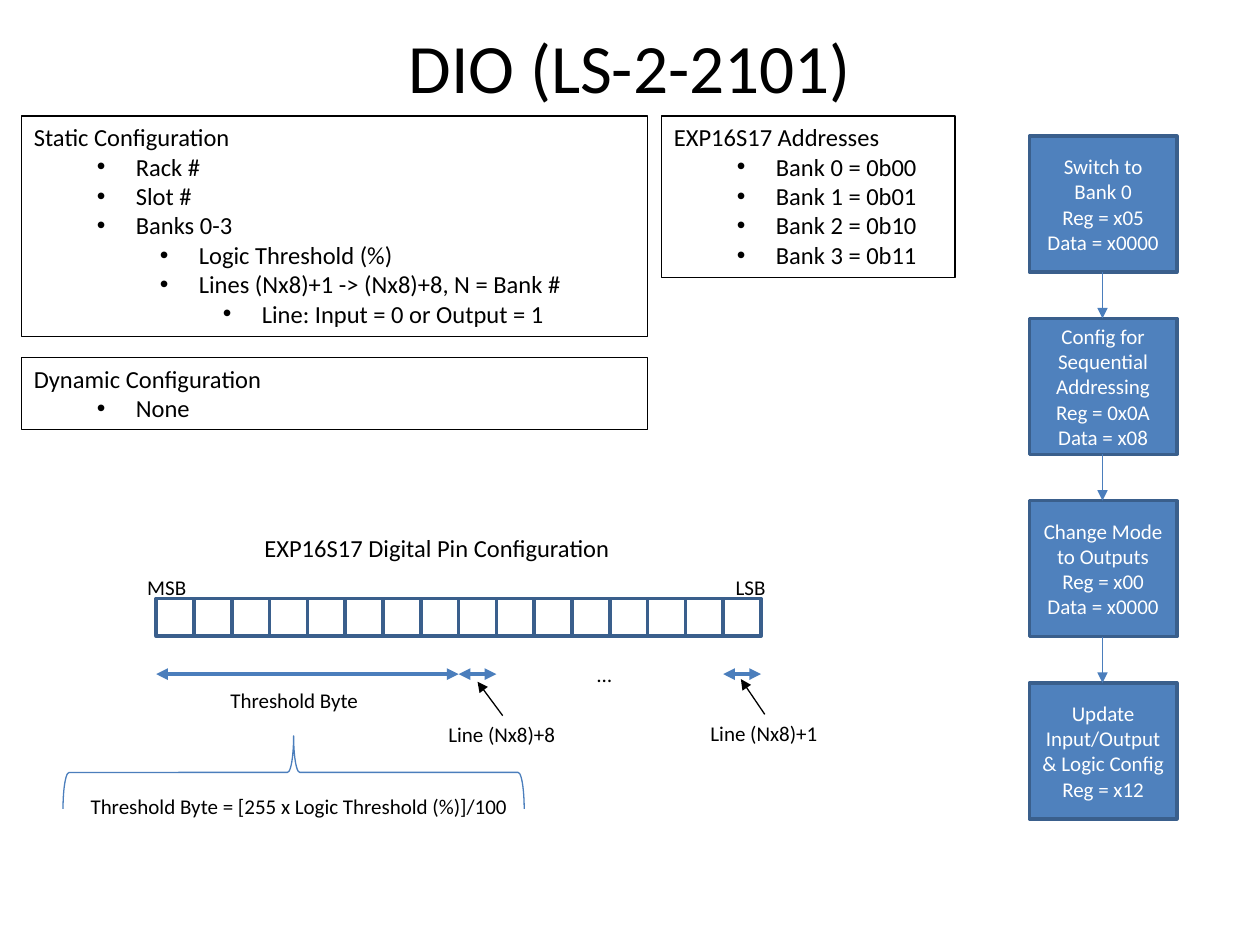
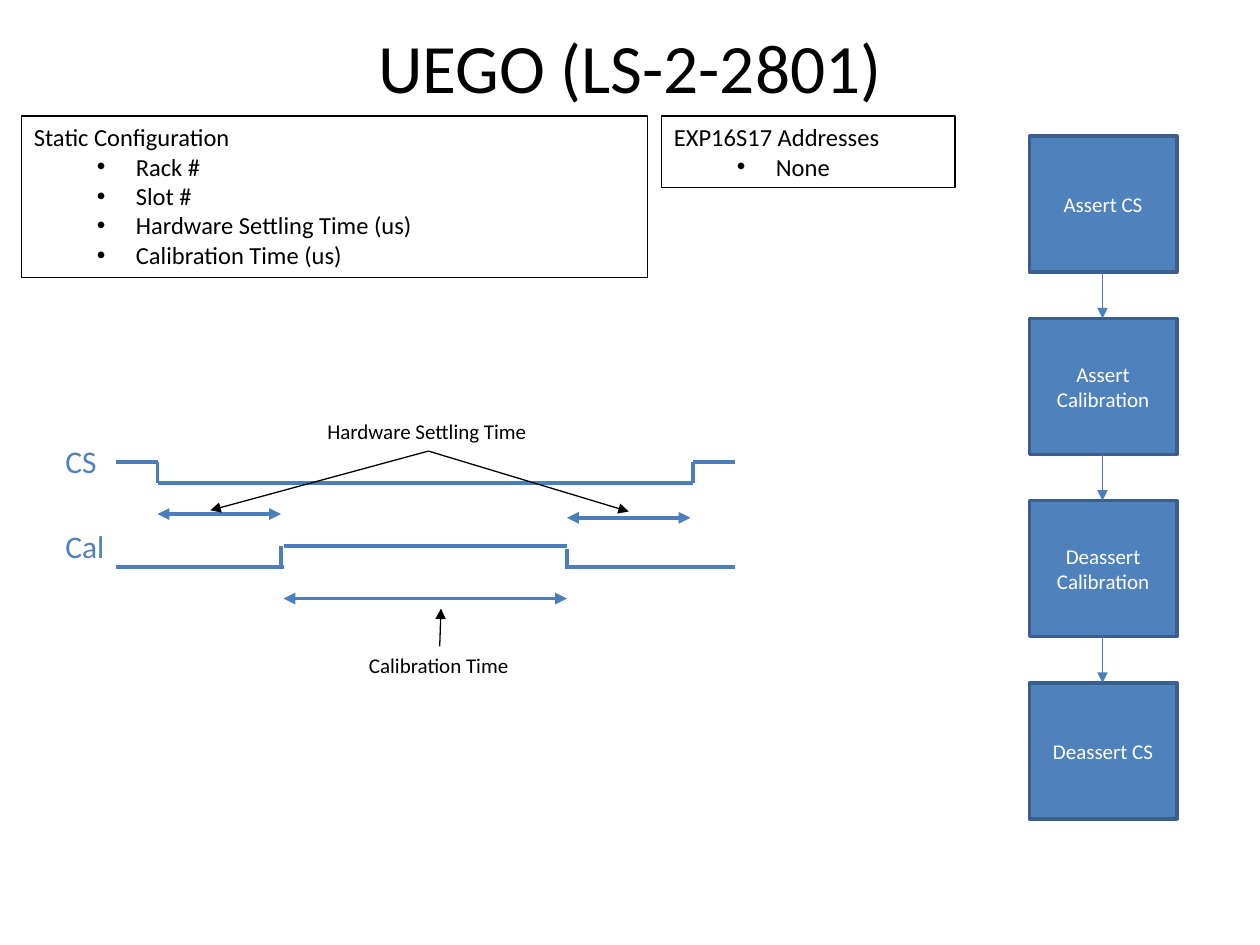
"""Build two slides on module configuration: DIO pin layout and UEGO timing."""
import pptx
import pptx.util
import pptx.dml.color
import pptx.enum.shapes
import pptx.enum.text
import pptx.oxml
import pptx.oxml.ns

Inches = pptx.util.Inches
Pt = pptx.util.Pt
RGBColor = pptx.dml.color.RGBColor
SHAPE = pptx.enum.shapes.MSO_SHAPE
ANCHOR = pptx.enum.text.MSO_ANCHOR
ALIGN = pptx.enum.text.PP_ALIGN
qn = pptx.oxml.ns.qn

BLACK = RGBColor(0x00, 0x00, 0x00)
WHITE = RGBColor(0xFF, 0xFF, 0xFF)
BLUE = RGBColor(0x4F, 0x81, 0xBD)
EDGE = RGBColor(0x3A, 0x5F, 0x8C)
STROKE = RGBColor(0x4B, 0x7E, 0xBC)
FONT = "Calibri"


def add_text(shapes, text, x, y, w, h, size=12, color=BLACK, fill=None, line=None,
             weight=0.75, center=False, wrap=True, shape=None):
    """Add a text box or preset shape; text is a string or (level, string) pairs."""
    box = Inches(x), Inches(y), Inches(w), Inches(h)
    if shape is None:
        sp = shapes.add_textbox(*box)
    else:
        sp = shapes.add_shape(shape, *box)
        sp.shadow.inherit = False
    if fill is None:
        sp.fill.background()
    else:
        sp.fill.solid()
        sp.fill.fore_color.rgb = fill
    if line is None:
        sp.line.fill.background()
    else:
        sp.line.color.rgb = line
        sp.line.width = Pt(weight)
    tf = sp.text_frame
    tf.word_wrap = wrap
    tf.vertical_anchor = ANCHOR.MIDDLE if center else ANCHOR.TOP
    rows = [(0, row) for row in text.split("\n")] if isinstance(text, str) else text
    for i, (level, row) in enumerate(rows):
        if not row:
            continue
        p = tf.paragraphs[0] if i == 0 else tf.add_paragraph()
        p.alignment = ALIGN.CENTER if center else ALIGN.LEFT
        if level:
            p.level = level
            pPr = p._p.get_or_add_pPr()
            pPr.set("marL", str(Inches(0.31 + 0.5 * level)))
            pPr.set("indent", str(Inches(-0.31)))
            pptx.oxml.ns.qn("a:buFont")
            pPr.makeelement
            for tag, key, value in (("a:buFont", "typeface", "Arial"), ("a:buChar", "char", "•")):
                bullet = pPr.makeelement(qn(tag), {key: value})
                pPr.append(bullet)
        r = p.add_run()
        r.text = row
        r.font.size = Pt(size)
        r.font.name = FONT
        r.font.color.rgb = color
    return sp


def add_line(shapes, x1, y1, x2, y2, color=STROKE, weight=2.25, ends=()):
    """Add a straight connector with triangles at the named ends."""
    cx = shapes.add_connector(pptx.enum.shapes.MSO_CONNECTOR.STRAIGHT,
                              Inches(x1), Inches(y1), Inches(x2), Inches(y2))
    cx.line.color.rgb = color
    cx.line.width = Pt(weight)
    ln = cx.line._get_or_add_ln()
    for end in ends:
        ln.append(ln.makeelement(qn("a:" + end), {"type": "triangle"}))
    spPr = cx._element.spPr
    spPr.append(spPr.makeelement(qn("a:effectLst"), {}))


BOTH = ("headEnd", "tailEnd")
TAIL = ("tailEnd",)

DIO_PANELS = [
    (0.17, 0.92, 4.97, 1.75, [
        (0, "Static Configuration"), (1, "Rack #"), (1, "Slot #"), (1, "Banks 0-3"),
        (2, "Logic Threshold (%)"), (2, "Lines (Nx8)+1 -> (Nx8)+8, N = Bank #"),
        (3, "Line: Input = 0 or Output = 1")]),
    (0.17, 2.84, 4.97, 0.57, [(0, "Dynamic Configuration"), (1, "None")]),
    (5.25, 0.92, 2.33, 1.28, [
        (0, "EXP16S17 Addresses"), (1, "Bank 0 = 0b00"), (1, "Bank 1 = 0b01"),
        (1, "Bank 2 = 0b10"), (1, "Bank 3 = 0b11")]),
]
UEGO_PANELS = [
    (0.17, 0.92, 4.97, 1.28, [
        (0, "Static Configuration"), (1, "Rack #"), (1, "Slot #"),
        (1, "Hardware Settling Time (us)"), (1, "Calibration Time (us)")]),
    (5.25, 0.92, 2.33, 0.57, [(0, "EXP16S17 Addresses"), (1, "None")]),
]
DIO_STEPS = [
    "Switch to Bank 0\nReg = x05\nData = x0000",
    "Config for Sequential Addressing\nReg = 0x0A\nData = x08",
    "Change Mode to Outputs\nReg = x00\nData = x0000",
    "Update Input/Output & Logic Config Reg = x12",
]
UEGO_STEPS = ["Assert CS", "Assert Calibration", "Deassert Calibration", "Deassert CS"]

STEP_X, STEP_Y, STEP_W, STEP_H = 8.17, 1.08, 1.17, 1.08
STEP_PITCH = (5.42 - STEP_Y) / 3

prs = pptx.Presentation()
prs.slide_width = Inches(10)
prs.slide_height = Inches(7.5)

slides = []
for title, panels, steps in (("DIO (LS-2-2101)", DIO_PANELS, DIO_STEPS),
                             ("UEGO (LS-2-2801)", UEGO_PANELS, UEGO_STEPS)):
    s = prs.slides.add_slide(prs.slide_layouts[6])
    slides.append(s)
    add_text(s.shapes, title, 0.5, 0.3, 9, 0.45, size=39.6, center=True)
    for x, y, w, h, rows in panels:
        add_text(s.shapes, rows, x, y, w, h, size=14, line=BLACK, shape=SHAPE.RECTANGLE)
    for i, step in enumerate(steps):
        y = STEP_Y + i * STEP_PITCH
        sp = add_text(s.shapes, step, STEP_X, y, STEP_W, STEP_H, color=WHITE, fill=BLUE,
                      line=EDGE, weight=2, center=True, shape=SHAPE.RECTANGLE)
        sp.text_frame.margin_left = sp.text_frame.margin_right = Inches(0.09)
        if i:
            add_line(s.shapes, 8.75, y - STEP_PITCH + STEP_H, 8.75, y, weight=0.75, ends=TAIL)
dio, uego = slides

pins = dio.shapes.add_group_shape().shapes
PIN_X, PIN_Y, PIN = 1.24, 4.75, 0.3
add_text(pins, "EXP16S17 Digital Pin Configuration", 2, 4.18, 4.58, 0.57, size=14)
for i in range(16):
    add_text(pins, "", PIN_X + i * PIN, PIN_Y, PIN, PIN, fill=WHITE, line=EDGE,
             weight=2, shape=SHAPE.RECTANGLE)
for first, last in ((0, 8), (8, 9), (15, 16)):
    add_line(pins, PIN_X + first * PIN, 5.35, PIN_X + last * PIN, 5.35, ends=BOTH)
for label, x, y, w in (
        ("MSB", 1.07, 4.51, 0.51),
        ("LSB", 5.74, 4.51, 0.44),
        ("Threshold Byte", 1.73, 5.41, 1.22),
        ("Line (Nx8)+8", 3.46, 5.68, 1.06),
        ("Line (Nx8)+1", 5.54, 5.67, 1.06),
        ("Threshold Byte = [255 x Logic Threshold (%)]/100", 0.62, 6.25, 3.55)):
    add_text(pins, label, x, y, w, 0.3, wrap=False)
add_text(pins, "…", 4.64, 5.2, 1, 0.3)
for ends in ((3.99, 5.68, 3.79, 5.41), (6.07, 5.67, 5.88, 5.39)):
    add_line(pins, *ends, color=BLACK, weight=0.75, ends=TAIL)
brace = add_text(pins, "", 2.04, 4.3, 0.58, 3.66, line=STROKE, shape=SHAPE.LEFT_BRACE)
brace.rotation = 90

CS_SIGNAL = [(0.92, 3.67, 1.25, 3.67), (1.25, 3.67, 1.25, 3.83), (1.25, 3.83, 5.5, 3.83),
             (5.5, 3.67, 5.83, 3.67), (5.5, 3.67, 5.5, 3.83)]
CAL_SIGNAL = [(0.92, 4.5, 2.25, 4.5), (2.23, 4.33, 2.23, 4.5), (2.25, 4.33, 4.5, 4.33),
              (4.5, 4.5, 5.83, 4.5), (4.5, 4.36, 4.5, 4.52)]
for name, y, w, signal in (("CS", 3.46, 0.45, CS_SIGNAL), ("Cal", 4.13, 0.52, CAL_SIGNAL)):
    for edge in signal:
        add_line(uego.shapes, *edge)
    add_text(uego.shapes, name, 0.42, y, w, 0.4, size=18, color=BLUE, wrap=False)
for x1, x2, y in ((1.25, 2.23, 4.08), (4.5, 5.48, 4.11), (2.25, 4.5, 4.75)):
    add_line(uego.shapes, x1, y, x2, y, ends=BOTH)
add_text(uego.shapes, "Calibration Time", 2.83, 5.13, 1.32, 0.3, wrap=False)
add_text(uego.shapes, "Hardware Settling Time", 2.5, 3.27, 1.8, 0.3, wrap=False)
for ends in ((3.49, 5.13, 3.5, 4.83), (3.4, 3.58, 1.67, 4.05), (3.4, 3.58, 4.99, 4.06)):
    add_line(uego.shapes, *ends, color=BLACK, weight=0.75, ends=TAIL)

prs.save("out.pptx")
